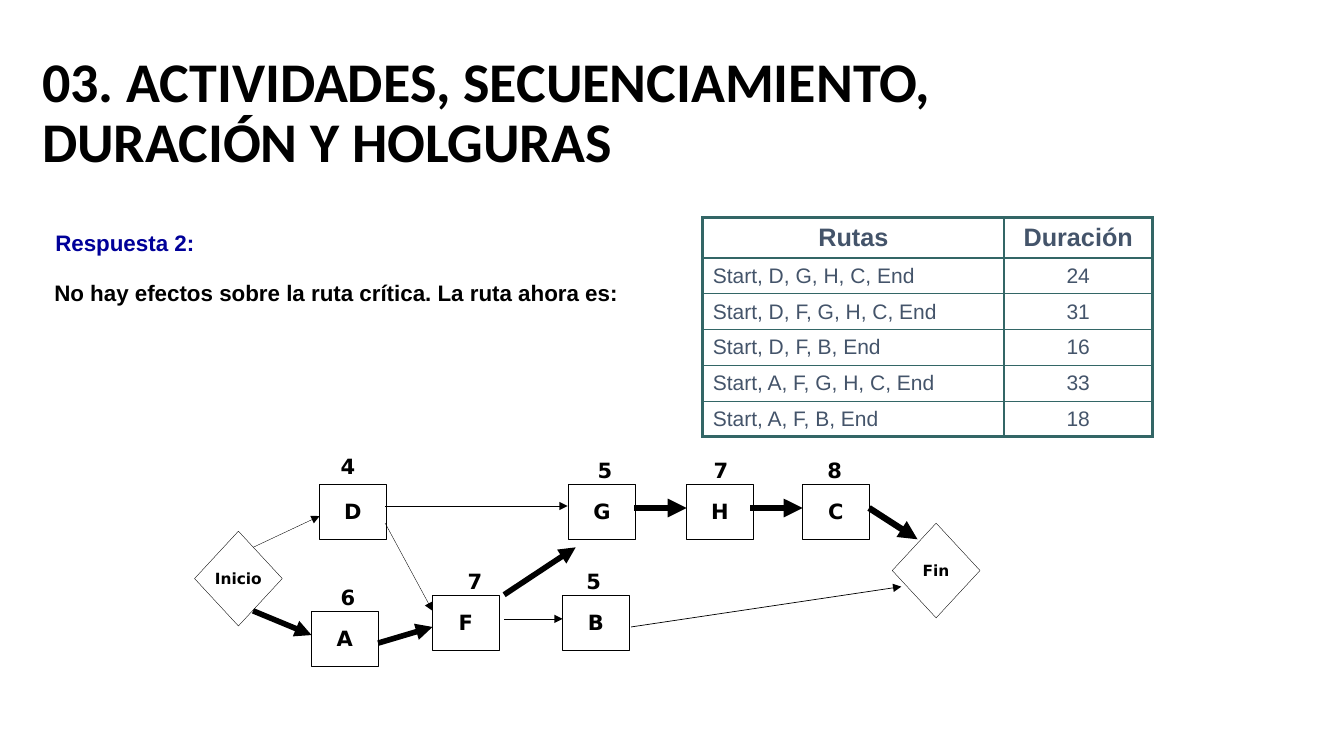
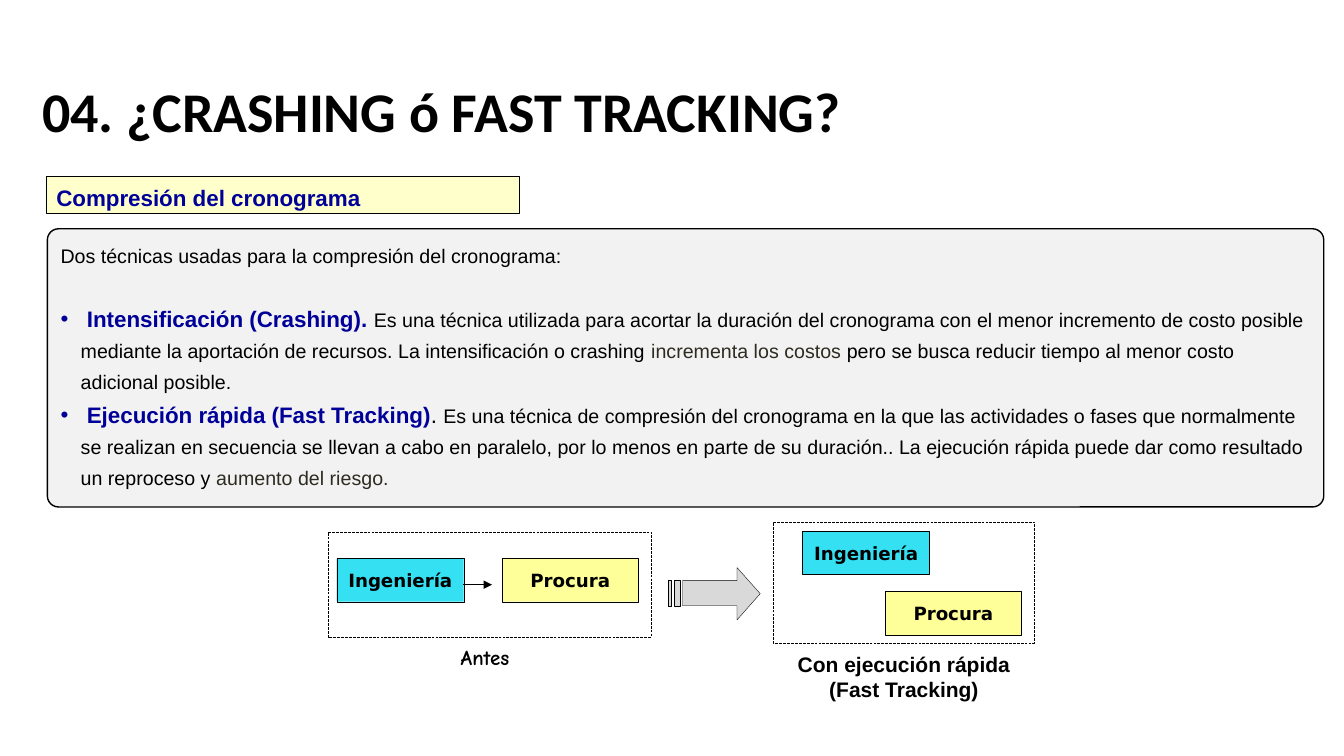
from dataclasses import dataclass

from lxml.etree import SubElement
from pptx import Presentation
from pptx.dml.color import RGBColor
from pptx.enum.dml import MSO_LINE
from pptx.enum.shapes import MSO_CONNECTOR, MSO_SHAPE
from pptx.enum.text import MSO_ANCHOR, PP_ALIGN
from pptx.oxml.ns import qn
from pptx.util import Inches, Pt

CELLS_PER_INCH = 10
COLORS = {
    "ink": "000000", "paper": "FFFFFF", "accent": "000099", "soft": "2E2B21",
    "table_text": "44546A", "table_line": "336666", "panel": "F2F2F2",
    "banner": "FFFFCC", "cyan": "34E0F2", "yellow": "FFFF99", "arrow": "D9D9D9",
}
BODY_FONT = "Arial"
TITLE_FONT = "Calibri"
DIAGRAM_FONT = "DejaVu Sans"
HAND_FONT = "Comic Neue"


@dataclass
class Box:
    """A region measured in grid columns and rows."""
    column: float
    row: float
    columns: float = 0
    rows: float = 0

    def inner(self, column, row, columns=0, rows=0):
        """Return a box placed relative to this one."""
        return Box(self.column + column, self.row + row, columns, rows)

    def lengths(self):
        """Return left, top, width and height as slide lengths."""
        return [cells(value) for value in (self.column, self.row, self.columns, self.rows)]


TITLE_BOX = Box(3.2, 4.1, 99.3, 14.5)


def cells(count):
    """Convert grid cells to a slide length."""
    return Inches(count / CELLS_PER_INCH)


def color(name):
    """Look up a named colour."""
    return RGBColor.from_string(COLORS[name])


def style_font(font, size, name=BODY_FONT, ink="ink", bold=True):
    """Set the look of one font."""
    font.size, font.name, font.bold = Pt(size), name, bold
    font.color.rgb = color(ink)


def write(frame, text, size, name=BODY_FONT, ink="ink", align=PP_ALIGN.LEFT,
          anchor=MSO_ANCHOR.TOP, spacing=1.0, wrap=True):
    """Fill a text frame with evenly styled paragraphs."""
    frame.text = text
    frame.word_wrap, frame.vertical_anchor = wrap, anchor
    for para in frame.paragraphs:
        para.alignment, para.line_spacing = align, spacing
        for span in para.runs:
            style_font(span.font, size, name, ink)


def add_text(page, box, text, size, **look):
    """Add a text box."""
    frame = page.shapes.add_textbox(*box.lengths()).text_frame
    write(frame, text, size, **look)
    return frame


def paint(shape, fill, width):
    """Give a shape its fill and outline without a shadow."""
    shape.shadow.inherit = False
    if fill:
        shape.fill.solid()
        shape.fill.fore_color.rgb = color(fill)
    else:
        shape.fill.background()
    shape.line.color.rgb = color("ink")
    shape.line.width = Pt(width)


def add_panel(page, box, fill, width=0.25, kind=MSO_SHAPE.RECTANGLE):
    """Add a preset shape."""
    shape = page.shapes.add_shape(kind, *box.lengths())
    paint(shape, fill, width)
    return shape


def add_node(page, box, text, size, fill="paper", kind=MSO_SHAPE.RECTANGLE):
    """Add a labelled diagram node."""
    frame = add_panel(page, box, fill, kind=kind).text_frame
    write(frame, text, size, DIAGRAM_FONT, align=PP_ALIGN.CENTER,
          anchor=MSO_ANCHOR.MIDDLE, wrap=False)


def add_arrow(page, box, start, end, width=0.25):
    """Add an arrow between two points of a box."""
    points = [length for point in (start, end) for length in box.inner(*point).lengths()[:2]]
    arrow = page.shapes.add_connector(MSO_CONNECTOR.STRAIGHT, *points)
    arrow.line.color.rgb = color("ink")
    arrow.line.width = Pt(width)
    SubElement(arrow.line._get_or_add_ln(), qn("a:tailEnd"), type="triangle")
    SubElement(arrow._element.spPr, qn("a:effectLst"))


def add_page(deck, title):
    """Add a blank page with the shared title."""
    page = deck.slides.add_slide(deck.slide_layouts[6])
    add_text(page, TITLE_BOX, title, 40, name=TITLE_FONT,
             anchor=MSO_ANCHOR.MIDDLE, spacing=0.9)
    return page


def set_borders(cell, widths):
    """Draw the four borders of a table cell."""
    properties = cell._tc.get_or_add_tcPr()
    for side, width in zip("LRTB", widths):
        line = SubElement(properties, qn(f"a:ln{side}"), w=str(Pt(width)))
        fill = SubElement(line, qn("a:solidFill"))
        SubElement(fill, qn("a:srgbClr"), val=COLORS["table_line"])


def add_routes(page, box, rows):
    """Add the table of routes and durations."""
    header_rows, route_rows, thick, thin = 4, 3.55, 2.25, 1
    table = page.shapes.add_table(len(rows), 2, *box.lengths()).table
    table.first_row = table.horz_banding = False
    for column, share in zip(table.columns, (0.67, 0.33)):
        column.width = cells(box.columns * share)
    last = len(rows) - 1
    for index, values in enumerate(rows):
        table.rows[index].height = cells(route_rows if index else header_rows)
        for side, value in enumerate(values):
            cell = table.cell(index, side)
            set_borders(cell, (thin if side else thick, thick if side else thin,
                               thin if index else thick, thick if index == last else thin))
            cell.fill.solid()
            cell.fill.fore_color.rgb = color("paper")
            cell.vertical_anchor = MSO_ANCHOR.MIDDLE
            para = cell.text_frame.paragraphs[0]
            para.text = value
            para.alignment = PP_ALIGN.LEFT if index and not side else PP_ALIGN.CENTER
            style_font(para.runs[0].font, 15 if index else 18, ink="table_text", bold=not index)


def add_network(page, box):
    """Draw the activity network with its critical path."""
    activities = [
        ("D", "4", 12.7, 4, 1, 3.5), ("G", "5", 37.4, 4, 1.8, 3.1),
        ("H", "7", 49.1, 4, 1.6, 3.1), ("C", "8", 60.6, 4, 1.4, 3.1),
        ("A", "6", 11.9, 16.6, 1.8, 3.1), ("F", "7", 23.9, 15, 2.4, 3.1),
        ("B", "5", 36.8, 15, 1.3, 3.1),
    ]
    for name, duration, column, row, shift, rise in activities:
        add_node(page, box.inner(column, row, 6.6, 5.5), name, 15)
        label = box.inner(column + shift, row - rise, 3.6, 3.5)
        add_text(page, label, duration, 15, name=DIAGRAM_FONT,
                 align=PP_ALIGN.CENTER, wrap=False)
    for name, column, row in (("Inicio", 0.3, 8.7), ("Fin", 69.5, 7.9)):
        add_node(page, box.inner(column, row, 8.7, 9.4), name, 11, kind=MSO_SHAPE.DIAMOND)
    links = [
        ((6.1, 10.3), (12.7, 7.2), 0.25), ((6.1, 16.6), (11.9, 19), 4),
        ((19.2, 6.2), (37.3, 6.2), 0.25), ((19.2, 7.9), (23.9, 16.6), 0.25),
        ((18.5, 19.8), (23.9, 18.2), 4), ((31, 15), (38.1, 10.3), 4),
        ((31, 17.4), (36.8, 17.4), 0.25), ((43.9, 6.4), (49.1, 6.4), 4.5),
        ((55.4, 6.4), (60.6, 6.4), 4.5), ((67.2, 6.4), (72, 9.5), 4.5),
        ((43.6, 18.2), (70.4, 14.2), 0.5),
    ]
    for start, end, width in links:
        add_arrow(page, box, start, end, width)


def add_bullet(para, indent):
    """Give a paragraph a hanging round bullet."""
    properties = para._p.get_or_add_pPr()
    properties.set("marL", str(indent))
    properties.set("indent", str(-indent))
    SubElement(properties, qn("a:buFont"), typeface=BODY_FONT)
    SubElement(properties, qn("a:buChar"), char="•")


def add_techniques(page, box, intro, techniques):
    """Add the rounded panel that explains the techniques."""
    panel = add_panel(page, box, "panel", 1, MSO_SHAPE.ROUNDED_RECTANGLE)
    panel.adjustments[0] = 0.04
    frame = panel.text_frame
    write(frame, intro, 14, spacing=1.3)
    frame.paragraphs[0].runs[0].font.bold = False
    for index, spans in enumerate(techniques):
        para = frame.add_paragraph()
        para.alignment, para.line_spacing = PP_ALIGN.LEFT, 1.3
        para.space_before = Pt(0 if index else 21)
        add_bullet(para, cells(2))
        for text, size, ink in spans:
            span = para.add_run()
            span.text = text
            style_font(span.font, size, ink=ink, bold=ink == "accent")


def add_stage(page, box, engineering, procurement, caption, caption_columns, font):
    """Draw a dashed frame with two tasks and a caption below."""
    add_panel(page, box, None).line.dash_style = MSO_LINE.LONG_DASH
    add_node(page, box.inner(*engineering, 12.6, 4.3), "Ingeniería", 13, "cyan")
    add_node(page, box.inner(*procurement, 13.5, 4.3), "Procura", 13, "yellow")
    add_text(page, box.inner(0, box.rows + 0.3, caption_columns, 5.3), caption, 15,
             name=font, align=PP_ALIGN.CENTER)


def add_striped_arrow(page, box):
    """Draw a block arrow with two stripes behind it."""
    high, low, neck = 1.3, 3.8, 6.8
    outlines = [[(neck, 0), (neck, high), (1.4, high), (1.4, low), (neck, low),
                 (neck, box.rows), (box.columns, box.rows / 2)]]
    outlines += [[(left, high), (left, low), (right, low), (right, high)]
                 for left, right in ((0.6, 1.2), (0, 0.3))]
    contours = [[box.inner(*point).lengths()[:2] for point in outline] for outline in outlines]
    builder = page.shapes.build_freeform(*contours[0][0])
    for index, (first, *others) in enumerate(contours):
        if index:
            builder.move_to(*first)
        builder.add_line_segments(others, close=True)
    paint(builder.convert_to_shape(), "arrow", 0.25)


def build_answer(deck):
    """Build the page with the routes and the network."""
    page = add_page(deck, "03. ACTIVIDADES, SECUENCIAMIENTO, DURACIÓN Y HOLGURAS")
    add_text(page, Box(4.5, 21.4, 16, 4.5), "Respuesta 2:", 16, ink="accent", spacing=1.3)
    add_text(page, Box(4.4, 26.4, 59.6, 4.5),
             "No hay efectos sobre la ruta crítica. La ruta ahora es:", 16, spacing=1.3)
    add_routes(page, Box(69.7, 21.6, 44.6, 21.75), [
        ("Rutas", "Duración"),
        ("Start, D, G, H, C, End", "24"),
        ("Start, D, F, G, H, C, End", "31"),
        ("Start, D, F, B, End", "16"),
        ("Start, A, F, G, H, C, End", "33"),
        ("Start, A, F, B, End", "18"),
    ])
    add_network(page, Box(19, 44, 79, 23))


def build_compression(deck):
    """Build the page on schedule compression."""
    page = add_page(deck, "04. ¿CRASHING ó FAST TRACKING?")
    banner = add_panel(page, Box(4.6, 17.5, 46.9, 3.7), "banner", 0.75)
    write(banner.text_frame, "Compresión del cronograma", 16, ink="accent", spacing=1.1)
    add_techniques(
        page, Box(4.7, 22.7, 126.6, 27.6),
        "Dos técnicas usadas para la compresión del cronograma:",
        [[(" Intensificación (Crashing). ", 16, "accent"),
          ("Es una técnica utilizada para acortar la duración del cronograma con el menor "
           "incremento de costo posible mediante la aportación de recursos. La "
           "intensificación o crashing ", 14, "ink"),
          ("incrementa los costos ", 14, "soft"),
          ("pero se busca reducir tiempo al menor costo adicional posible.", 14, "ink")],
         [(" Ejecución rápida (Fast Tracking)", 16, "accent"),
          (". ", 16, "ink"),
          ("Es una técnica de compresión del cronograma en la que las actividades o fases "
           "que normalmente se realizan en secuencia se llevan a cabo en paralelo, por lo "
           "menos en parte de su duración.. La ejecución rápida puede dar como resultado "
           "un reproceso y ", 14, "ink"),
          ("aumento del riesgo.", 14, "soft")]])
    before = Box(32.5, 52.8, 32.1, 10.4)
    add_stage(page, before, (0.9, 2.6), (17.3, 2.6), "Antes", 31.2, HAND_FONT)
    add_arrow(page, before, (13.4, 5.2), (16.3, 5.2))
    add_striped_arrow(page, Box(66.3, 56.3, 9.1, 5.2))
    add_stage(page, Box(76.7, 51.8, 25.9, 12), (2.9, 0.9), (11.1, 6.9),
              "Con ejecución rápida\n(Fast Tracking)", 25.9, BODY_FONT)


def main():
    """Build and save the deck."""
    deck = Presentation()
    deck.slide_width, deck.slide_height = Inches(13.33), Inches(7.5)
    build_answer(deck)
    build_compression(deck)
    deck.save("out.pptx")


if __name__ == "__main__":
    main()
